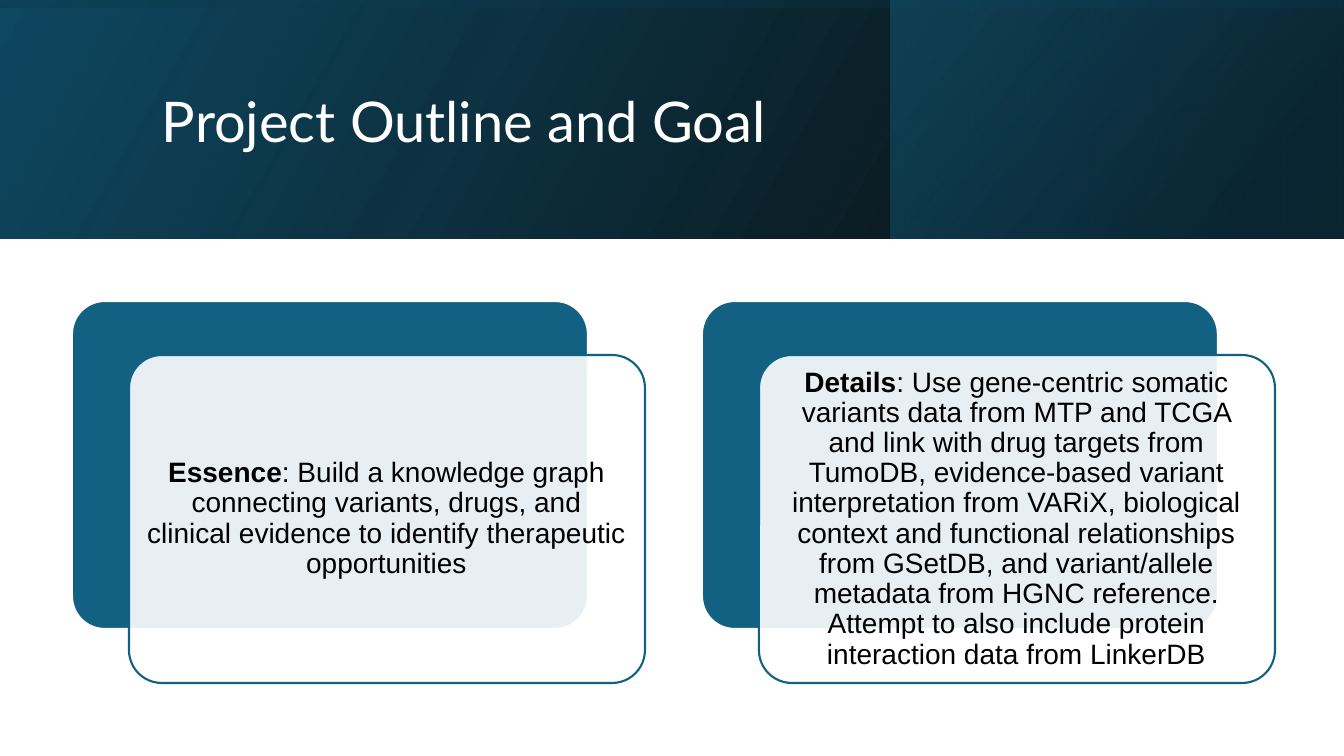
import pptx
import pptx.util
import pptx.dml.color
import pptx.enum.shapes
import pptx.enum.text
import pptx.oxml.ns
import lxml.etree

SCALE = 914400 / 100.8
qn = pptx.oxml.ns.qn


def px(*lengths):
    return [pptx.util.Emu(round(length * SCALE)) for length in lengths]


def rgb(value):
    return pptx.dml.color.RGBColor.from_string(value)


deck = pptx.Presentation()
deck.slide_width, deck.slide_height = px(1344, 756)
page = deck.slides.add_slide(deck.slide_layouts[6])
shapes = page.shapes
kinds = pptx.enum.shapes.MSO_SHAPE

banner_layers = [
    ((0, 0, 1344, 239), 0, 330, [(0, "000000", 96), (100, "0F4861", 100)]),
    ((891, 0, 452, 239), 0, 320, [(0, "0A3041", 68), (19, "0A3041", 68), (100, "156082", 48)]),
    ((552, -552, 239, 1344), 270, 350,
     [(0, "0F4861", 16), (23, "0F4861", 16), (99, "000000", 45), (100, "000000", 45)]),
]
banner_layers[0][3][1] = (100, "0F4861", 100)

for place, rotation, angle, stops in banner_layers:
    layer = shapes.add_shape(kinds.RECTANGLE, *px(*place))
    layer.shadow.inherit = False
    layer.line.fill.background()
    layer.rotation = rotation
    layer._element.spPr.find(qn("a:xfrm")).set("flipH", "1")
    layer.fill.gradient()
    layer.fill.gradient_angle = 360 - angle
    stop_list = layer._element.spPr.find(qn("a:gradFill")).find(qn("a:gsLst"))
    for stop in list(stop_list):
        stop_list.remove(stop)
    for position, colour, opacity in stops:
        stop = lxml.etree.SubElement(stop_list, qn("a:gs"), pos=str(position * 1000))
        tint = lxml.etree.SubElement(stop, qn("a:srgbClr"), val=colour)
        lxml.etree.SubElement(tint, qn("a:alpha"), val=str(opacity * 1000))

cards = [
    ("Essence", ": Build a knowledge graph connecting variants, drugs, and clinical evidence "
     "to identify therapeutic opportunities"),
    ("Details", ": Use gene-centric somatic variants data from MTP and TCGA and link with drug "
     "targets from TumoDB, evidence-based variant interpretation from VARiX, biological context "
     "and functional relationships from GSetDB, and variant/allele metadata from HGNC reference. "
     "Attempt to also include protein interaction data from LinkerDB"),
]
left_align = pptx.enum.text.PP_ALIGN.LEFT
centre_align = pptx.enum.text.PP_ALIGN.CENTER
texts = [((152, 38, 1072, 173), (10, 5), left_align, "Lato", 40, "FFFFFF",
          [("Project Outline and Goal", False)])]

for index, (heading, body) in enumerate(cards):
    left = 72 + 630 * index
    for shift_x, shift_y, fill, line in [(0, 0, "126082", "FFFFFF"), (57, 54, "FFFFFF", "126082")]:
        panel = shapes.add_shape(kinds.ROUNDED_RECTANGLE, *px(left + shift_x, 301 + shift_y, 516, 328))
        panel.shadow.inherit = False
        panel.adjustments[0] = 0.1
        panel.fill.solid()
        panel.fill.fore_color.rgb = rgb(fill)
        panel.line.color.rgb = rgb(line)
        panel.line.width = pptx.util.Pt(1.5)
    tint = panel._element.spPr.find(qn("a:solidFill")).find(qn("a:srgbClr"))
    lxml.etree.SubElement(tint, qn("a:alpha"), val="90000")
    texts.append(((left + 66, 365, 497, 308), (8, 8), centre_align, "Arial", 20, "000000",
                  [(heading, True), (body, False)]))

for place, (inset_x, inset_y), align, font, size, colour, runs in texts:
    box = shapes.add_textbox(*px(*place))
    side, edge = px(inset_x, inset_y)
    frame_format = {
        "word_wrap": True, "vertical_anchor": pptx.enum.text.MSO_ANCHOR.MIDDLE,
        "margin_left": side, "margin_right": side, "margin_top": edge, "margin_bottom": edge,
    }
    for name, value in frame_format.items():
        setattr(box.text_frame, name, value)
    para = box.text_frame.paragraphs[0]
    para.alignment = align
    para.line_spacing = 0.9
    for text, bold in runs:
        span = para.add_run()
        span.text = text
        for name, value in {"name": font, "size": pptx.util.Pt(size), "bold": bold}.items():
            setattr(span.font, name, value)
        span.font.color.rgb = rgb(colour)

deck.save("out.pptx")
